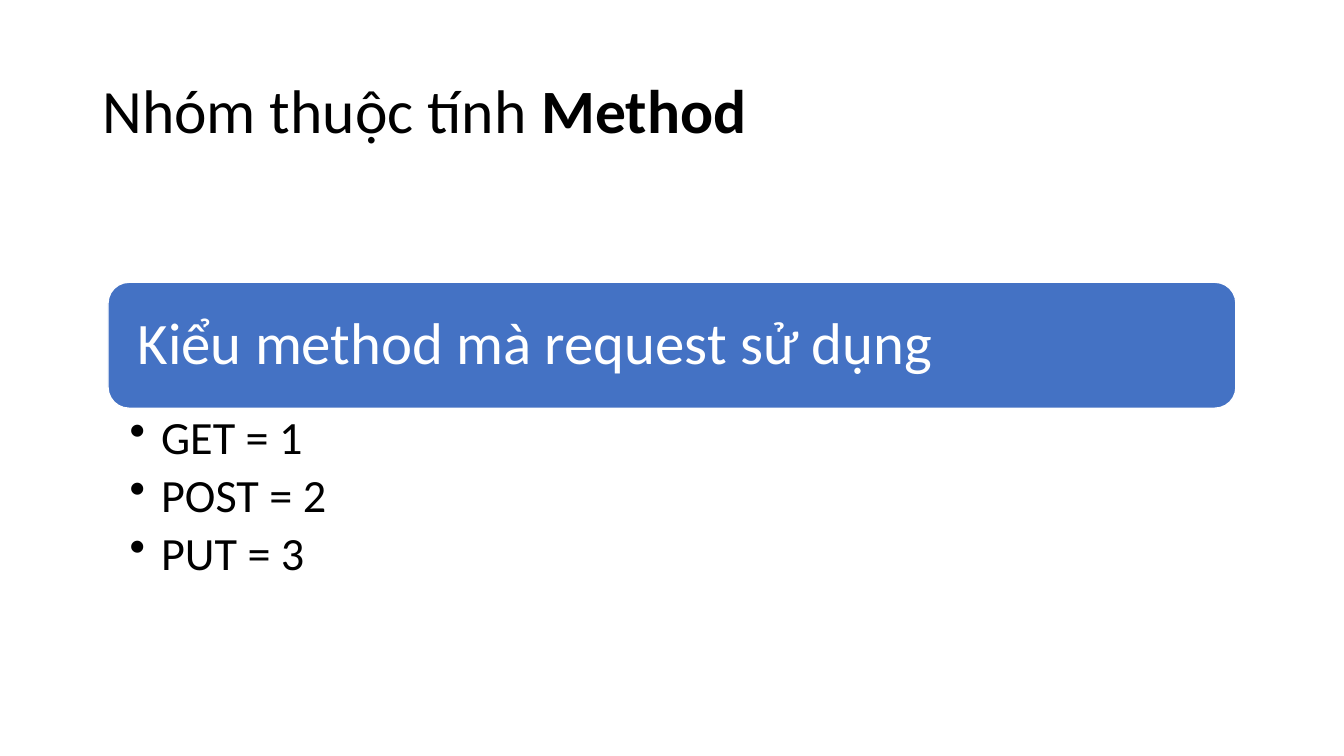
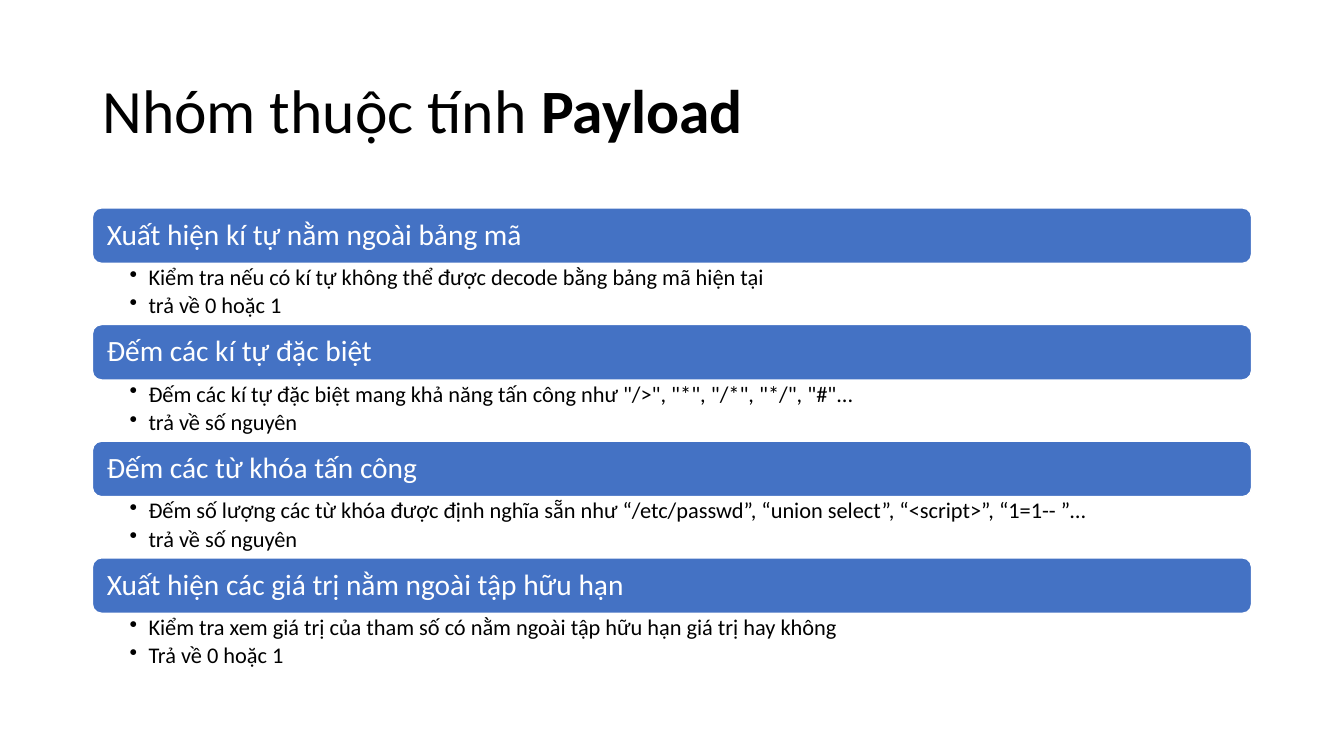
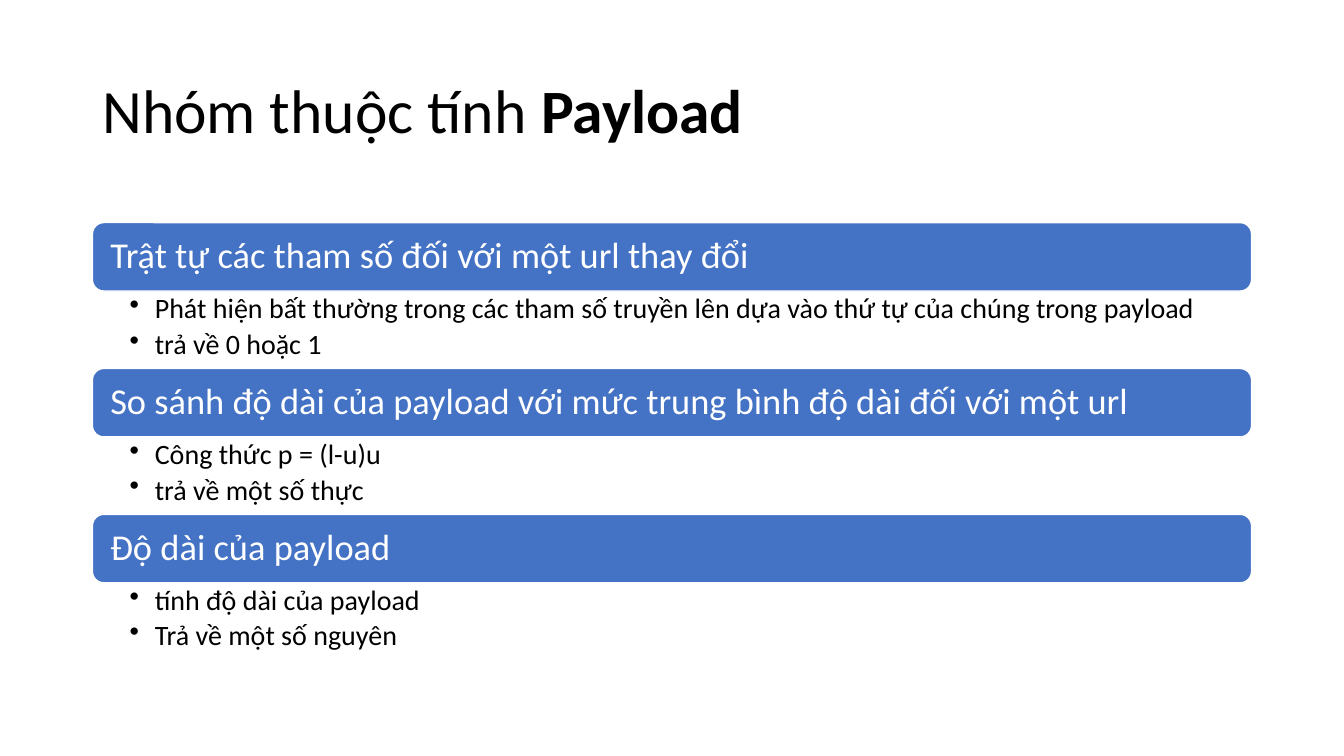
from lxml import etree
from pptx import Presentation
from pptx.dml.color import RGBColor
from pptx.enum.shapes import MSO_SHAPE
from pptx.enum.text import MSO_ANCHOR, PP_ALIGN
from pptx.oxml.ns import qn
from pptx.util import Inches, Pt

BLACK = RGBColor(0x00, 0x00, 0x00)
WHITE = RGBColor(0xFF, 0xFF, 0xFF)
BLUE = RGBColor(0x44, 0x72, 0xC4)
ROUNDED = MSO_SHAPE.ROUNDED_RECTANGLE
MIDDLE = MSO_ANCHOR.MIDDLE
TOP = MSO_ANCHOR.TOP
LEFT = PP_ALIGN.LEFT

COLUMNS = 160
ROWS = 90
BODY_LEFT = 11
BODY_WIDTH = 138


class Deck:
    font_name = "Calibri"
    title_size = 44
    line_spacing = 0.9

    def __init__(self):
        self.presentation = Presentation()
        self.presentation.slide_width = Inches(13.333)
        self.presentation.slide_height = Inches(7.5)
        self.slide = None

    def place(self, left, top, width, height):
        column = self.presentation.slide_width / COLUMNS
        row = self.presentation.slide_height / ROWS
        return [round(n) for n in (left * column, top * row, width * column, height * row)]

    def apply(self, target, values):
        for name, value in values.items():
            setattr(target, name, value)

    def frame(self, shape, anchor, left, top, right, bottom):
        text_frame = shape.text_frame
        self.apply(text_frame, {
            "word_wrap": True,
            "vertical_anchor": anchor,
            "margin_left": Pt(left),
            "margin_top": Pt(top),
            "margin_right": Pt(right),
            "margin_bottom": Pt(bottom),
        })
        return text_frame

    def add_text(self, paragraph, text, size, color, bold=False):
        self.apply(paragraph, {"line_spacing": self.line_spacing, "alignment": LEFT})
        run = paragraph.add_run()
        run.text = text
        self.apply(run.font, {"name": self.font_name, "size": Pt(size), "bold": bold})
        run.font.color.rgb = color

    def add_slide(self, group):
        self.slide = self.presentation.slides.add_slide(self.presentation.slide_layouts[6])
        title = self.slide.shapes.add_textbox(*self.place(BODY_LEFT, 4.8, BODY_WIDTH, 17.4))
        heading = self.frame(title, MIDDLE, 7.2, 3.6, 7.2, 3.6).paragraphs[0]
        self.add_text(heading, "Nhóm thuộc tính ", self.title_size, BLACK)
        self.add_text(heading, group, self.title_size, BLACK, bold=True)

    def add_band(self, text, top, height, size, inset):
        band = self.slide.shapes.add_shape(ROUNDED, *self.place(
            BODY_LEFT + inset, top, BODY_WIDTH - 2 * inset, height))
        band.shadow.inherit = False
        band.fill.solid()
        band.fill.fore_color.rgb = BLUE
        band.line.color.rgb = WHITE
        band.line.width = Pt(1)
        margin = size * 0.4
        text_frame = self.frame(band, MIDDLE, margin, margin, margin, margin)
        self.add_text(text_frame.paragraphs[0], text, size, WHITE)

    def add_bullets(self, items, top, height, size, indent):
        details = self.slide.shapes.add_textbox(*self.place(BODY_LEFT, top, BODY_WIDTH, height))
        margin = size * 0.13
        text_frame = self.frame(details, TOP, 26.6, margin, size * 0.72, margin)
        for index, item in enumerate(items):
            paragraph = text_frame.add_paragraph() if index else text_frame.paragraphs[0]
            properties = paragraph._p.get_or_add_pPr()
            properties.set("marL", str(Pt(indent)))
            properties.set("indent", str(-Pt(indent)))
            etree.SubElement(properties, qn("a:buChar")).set("char", "•")
            paragraph.space_after = Pt(size * 0.18)
            self.add_text(paragraph, item, size, BLACK)

    def add_sections(self, sections, top, bottom, band_height, band_size,
                     bullet_size, indent, inset=0):
        step = (bottom - top) / len(sections)
        for index, (heading, items) in enumerate(sections):
            section_top = top + index * step
            self.add_band(heading, section_top, band_height, band_size, inset)
            self.add_bullets(items, section_top + band_height, step - band_height,
                             bullet_size, indent)


METHOD = [
    ("Kiểu method mà request sử dụng", ["GET = 1", "POST = 2", "PUT = 3"]),
]

PAYLOAD_CHARACTERS = [
    ("Xuất hiện kí tự nằm ngoài bảng mã",
     ["Kiểm tra nếu có kí tự không thể được decode bằng bảng mã hiện tại",
      "trả về 0 hoặc 1"]),
    ("Đếm các kí tự đặc biệt",
     ['Đếm các kí tự đặc biệt mang khả năng tấn công như "/>", "*", "/*", "*/", "#"...',
      "trả về số nguyên"]),
    ("Đếm các từ khóa tấn công",
     ["Đếm số lượng các từ khóa được định nghĩa sẵn như “/etc/passwd”, “union select”, “<script>”, “1=1-- ”…",
      "trả về số nguyên"]),
    ("Xuất hiện các giá trị nằm ngoài tập hữu hạn",
     ["Kiểm tra xem giá trị của tham số có nằm ngoài tập hữu hạn giá trị hay không",
      "Trả về 0 hoặc 1"]),
]

PAYLOAD_LENGTH = [
    ("Trật tự các tham số đối với một url thay đổi",
     ["Phát hiện bất thường trong các tham số truyền lên dựa vào thứ tự của chúng trong payload",
      "trả về 0 hoặc 1"]),
    ("So sánh độ dài của payload với mức trung bình độ dài đối với một url",
     ["Công thức p = (l-u)u", "trả về một số thực"]),
    ("Độ dài của payload",
     ["tính độ dài của payload", "Trả về một số nguyên"]),
]


def main():
    deck = Deck()

    deck.add_slide("Method")
    deck.add_sections(METHOD, top=33.6, bottom=71.4, band_height=15, band_size=42,
                      bullet_size=33, indent=22.5, inset=1.86)

    deck.add_slide("Payload")
    deck.add_sections(PAYLOAD_CHARACTERS, top=24.75, bottom=80.3, band_height=6.6,
                      band_size=21, bullet_size=16, indent=13.5)

    deck.add_slide("Payload")
    deck.add_sections(PAYLOAD_LENGTH, top=26.5, bottom=78.6, band_height=8.15,
                      band_size=26, bullet_size=20, indent=18)

    deck.presentation.save("out.pptx")


if __name__ == "__main__":
    main()
